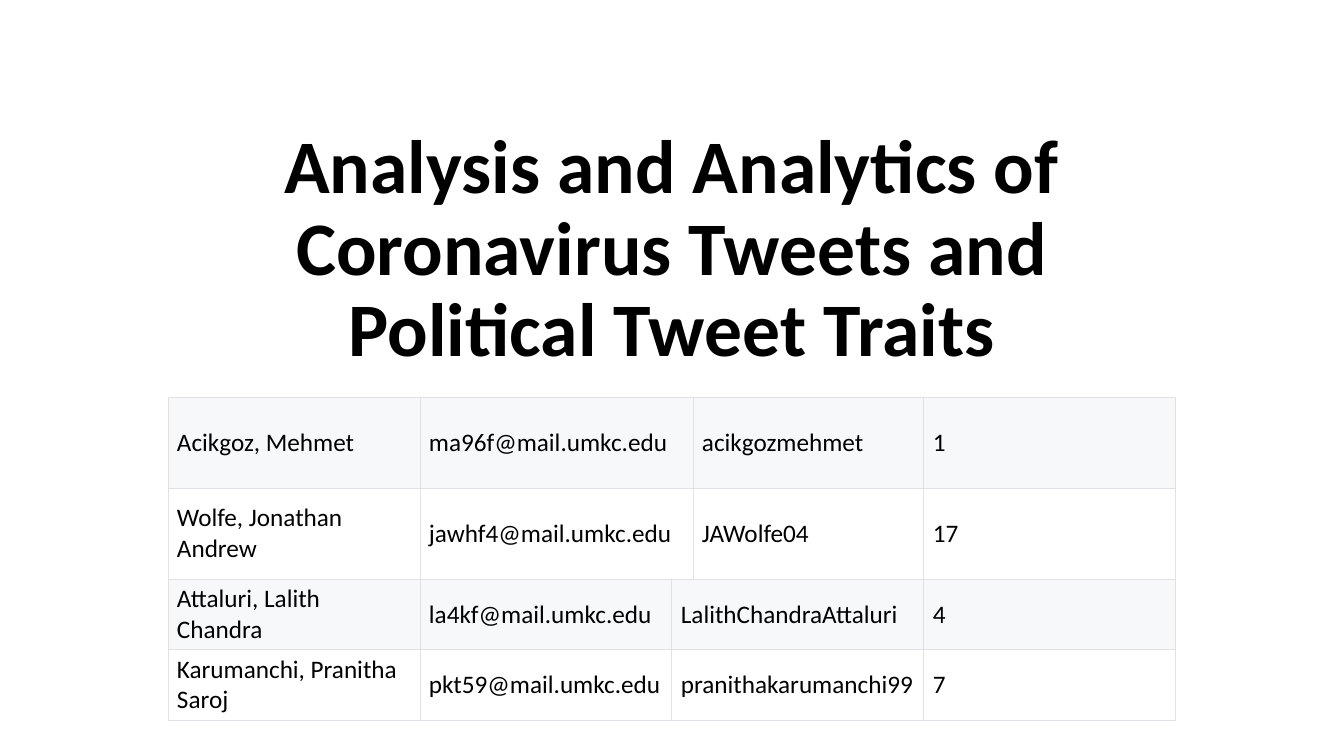
from lxml import etree
from pptx import Presentation
from pptx.dml.color import RGBColor
from pptx.enum.text import MSO_ANCHOR, PP_ALIGN
from pptx.oxml.ns import qn
from pptx.util import Cm, Pt

MIDDLE, BOTTOM = MSO_ANCHOR.MIDDLE, MSO_ANCHOR.BOTTOM
CENTER, LEFT = PP_ALIGN.CENTER, PP_ALIGN.LEFT
HUES = {"ink": "000000", "band": "F6F8FA", "plain": "FFFFFF", "rule": "DFE2E5"}


def write(frame, text, size=18, bold=False, align=LEFT, space=1.0):
    frame.word_wrap = True
    para = frame.paragraphs[0]
    para.alignment = align
    para.line_spacing = space
    run = para.add_run()
    run.text = text
    font = run.font
    font.name, font.size, font.bold = "Calibri", Pt(size), bold
    font.color.rgb = RGBColor.from_string(HUES["ink"])


def border(cell):
    """Draw a thin rule on all four sides; call before the cell is filled."""
    props = cell._tc.get_or_add_tcPr()
    for side in ("a:lnL", "a:lnR", "a:lnT", "a:lnB"):
        line = etree.SubElement(props, qn(side), w=str(Pt(0.5)))
        fill = etree.SubElement(line, qn("a:solidFill"))
        etree.SubElement(fill, qn("a:srgbClr"), val=HUES["rule"])


deck = Presentation()
deck.slide_width, deck.slide_height = Cm(33.87), Cm(19.05)
slide = deck.slides.add_slide(deck.slide_layouts[5])

title = slide.shapes.title
title.left, title.top = Cm(4.23), Cm(2.9)
title.width, title.height = Cm(25.4), Cm(6.63)
title.text_frame.vertical_anchor = BOTTOM
write(title.text_frame,
      "Analysis and Analytics of Coronavirus Tweets and Political Tweet Traits",
      size=54, bold=True, align=CENTER, space=0.9)

# Each team table: top, row height, column widths, members
teams = [
    (10, 2.3, (6.35, 6.88, 5.82, 6.35), [
        ("Acikgoz, Mehmet", "ma96f@mail.umkc.edu", "acikgozmehmet", "1"),
        ("Wolfe, Jonathan Andrew", "jawhf4@mail.umkc.edu", "JAWolfe04", "17"),
    ]),
    (14.6, 1.76, (6.35,) * 4, [
        ("Attaluri, Lalith Chandra", "la4kf@mail.umkc.edu",
         "LalithChandraAttaluri", "4"),
        ("Karumanchi, Pranitha Saroj", "pkt59@mail.umkc.edu",
         "pranithakarumanchi99", "7"),
    ]),
]

for top, high, widths, team in teams:
    table = slide.shapes.add_table(
        len(team), len(widths), Cm(4.23), Cm(top),
        Cm(sum(widths)), Cm(high * len(team))).table
    table.first_row = table.horz_banding = False
    for col, wide in zip(table.columns, widths):
        col.width = Cm(wide)
    for r, member in enumerate(team):
        table.rows[r].height = Cm(high)
        for c, text in enumerate(member):
            cell = table.cell(r, c)
            border(cell)
            cell.fill.solid()
            cell.fill.fore_color.rgb = RGBColor.from_string(
                HUES["plain" if r % 2 else "band"])
            cell.vertical_anchor = MIDDLE
            cell.margin_left = cell.margin_right = Cm(0.23)
            cell.margin_top = cell.margin_bottom = Cm(0.11)
            write(cell.text_frame, text)

deck.save("out.pptx")
